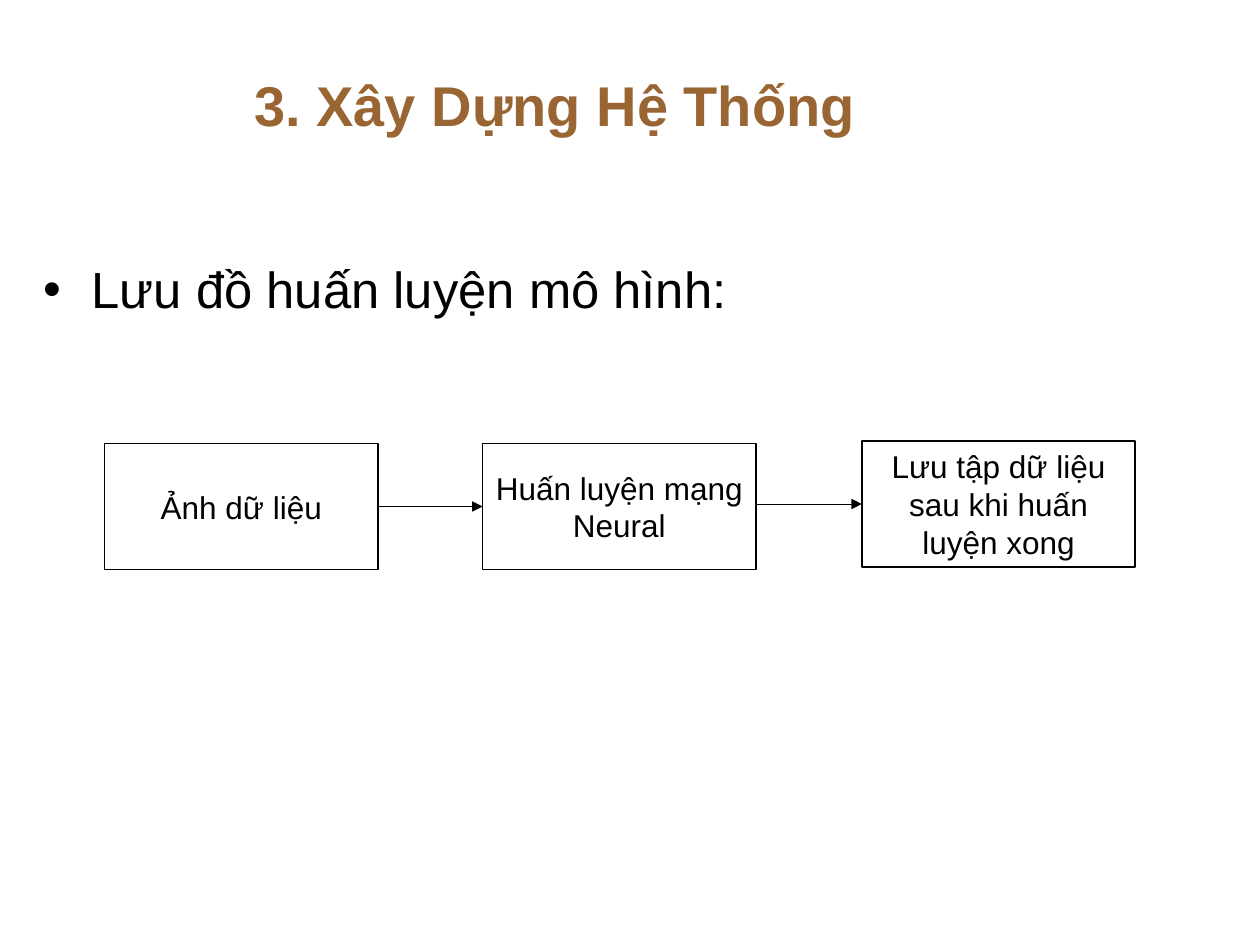
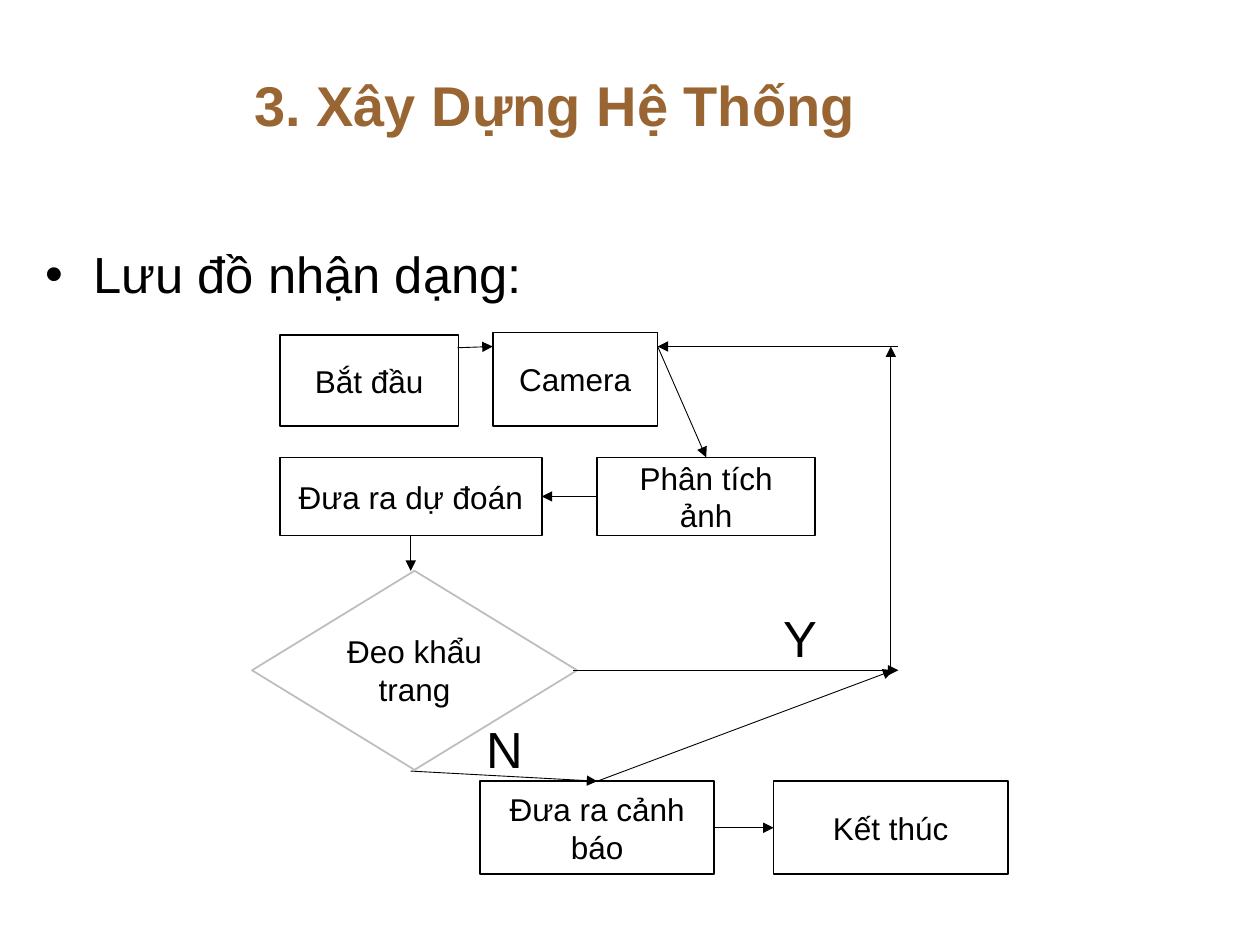
"""Build two flowchart slides: training the model and recognising masks."""
from lxml.etree import SubElement
from pptx import Presentation
from pptx.dml.color import RGBColor
from pptx.enum.shapes import MSO_CONNECTOR, MSO_SHAPE
from pptx.enum.text import MSO_ANCHOR as ANCHOR, PP_ALIGN as ALIGN
from pptx.oxml.ns import qn
from pptx.util import Inches, Pt

COLORS = {"title": "996633", "ink": "000000", "paper": "FFFFFF", "diamond": "BDBDBD"}
FONT = "Arial"
TITLE = "3. Xây Dựng Hệ Thống"
TOP, LEFT, BOTTOM, RIGHT = range(4)

presentation = Presentation()
presentation.slide_width, presentation.slide_height = Inches(10), Inches(7.5)
COLUMN = presentation.slide_width / 100
ROW = presentation.slide_height / 75

STEP_WIDTH, STEP_HEIGHT = 21.7, 10
LOOP_ROW, YES_ROW = 27.5, 53.2

SLIDES = [
    {
        "heading": ("Lưu đồ huấn luyện mô hình:", 2.5, 20, 61.7, 39.2),
        "boxes": [
            ("Ảnh dữ liệu", 8.3, 35.2, STEP_WIDTH, STEP_HEIGHT),
            ("Huấn luyện mạng Neural", 38.3, 35.2, STEP_WIDTH, STEP_HEIGHT),
            ("Lưu tập dữ liệu sau khi huấn luyện xong", 68.4, 35, STEP_WIDTH, STEP_HEIGHT),
        ],
        "decisions": [],
        "arrows": [
            (("Ảnh dữ liệu", RIGHT), ("Huấn luyện mạng Neural", LEFT)),
            ((60, 40), ("Lưu tập dữ liệu sau khi huấn luyện xong", LEFT)),
        ],
        "labels": [],
    },
    {
        "heading": ("Lưu đồ nhận dạng:", 2.6, 18.8, 40.8, 39.2),
        "boxes": [
            ("Bắt đầu", 22.2, 26.6, 14.2, 7.2),
            ("Camera", 39.1, 26.4, 13.1, 7.4),
            ("Phân tích ảnh", 47.4, 36.3, 17.3, 6.2),
            ("Đưa ra dự đoán", 22.2, 36.3, 20.8, 6.2),
            ("Đưa ra cảnh báo", 38.1, 62, 18.6, 7.4),
            ("Kết thúc", 61.4, 62, 18.6, 7.4),
        ],
        "decisions": [("Đeo khẩu trang", 20, 45.3, 25.8, 15.8)],
        "arrows": [
            ((36.3, 27.6), (39.1, LOOP_ROW)),
            ((52.2, LOOP_ROW), ("Phân tích ảnh", TOP)),
            (("Phân tích ảnh", LEFT), ("Đưa ra dự đoán", RIGHT)),
            (("Đưa ra dự đoán", BOTTOM), (32.6, 45.3)),
            ((32.6, 61.2), ("Đưa ra cảnh báo", TOP)),
            (("Đưa ra cảnh báo", RIGHT), ("Kết thúc", LEFT)),
            ((45.5, YES_ROW), (71.3, YES_ROW)),
            ((70.7, 53.5), (70.7, LOOP_ROW)),
            ((71.3, LOOP_ROW), (52.2, LOOP_ROW)),
            (("Đưa ra cảnh báo", TOP), (70.9, YES_ROW)),
        ],
        "labels": [("Y", 61.2, 47.7, 4.2, 4.4), ("N", 37.6, 56.5, 4.2, 4.4)],
    },
]


def grid(column, row, width, height):
    return [round(length) for length in (column * COLUMN, row * ROW, width * COLUMN, height * ROW)]


def write(shape, text, size, color="ink", anchor=ANCHOR.TOP, align=ALIGN.LEFT):
    frame = shape.text_frame
    frame.word_wrap = True
    frame.vertical_anchor = anchor
    paragraph = frame.paragraphs[0]
    paragraph.text = text
    paragraph.alignment = align
    paragraph.font.name = FONT
    paragraph.font.size = Pt(size)
    paragraph.font.color.rgb = RGBColor.from_string(COLORS[color])
    return paragraph


for content in SLIDES:
    slide = presentation.slides.add_slide(presentation.slide_layouts[6])
    shapes = slide.shapes

    title = shapes.add_textbox(*grid(19.2, 3.1, 77.5, 10.3))
    write(title, TITLE, 32, "title", ANCHOR.MIDDLE).font.bold = True

    text, *place = content["heading"]
    paragraph = write(shapes.add_textbox(*grid(*place)), text, 29)
    paragraph.space_before = Pt(6)
    properties = paragraph._p.get_or_add_pPr()
    properties.set("marL", str(Inches(0.38)))
    properties.set("indent", str(Inches(-0.38)))
    SubElement(properties, qn("a:buFont"), typeface=FONT)
    SubElement(properties, qn("a:buChar"), char="•")

    steps = {}
    for kind, outline, entries in (
        (MSO_SHAPE.RECTANGLE, "ink", content["boxes"]),
        (MSO_SHAPE.DIAMOND, "diamond", content["decisions"]),
    ):
        for text, *place in entries:
            step = steps[text] = shapes.add_shape(kind, *grid(*place))
            step.shadow.inherit = False
            step.fill.solid()
            step.fill.fore_color.rgb = RGBColor.from_string(COLORS["paper"])
            step.line.color.rgb = RGBColor.from_string(COLORS[outline])
            step.line.width = Pt(1)
            write(step, text, 18, anchor=ANCHOR.MIDDLE, align=ALIGN.CENTER)

    for start, end in content["arrows"]:
        arrow = shapes.add_connector(MSO_CONNECTOR.STRAIGHT, 0, 0, 0, 0)
        if start[0] in steps:
            arrow.begin_connect(steps[start[0]], start[1])
        else:
            arrow.begin_x, arrow.begin_y = grid(*start, 0, 0)[:2]
        if end[0] in steps:
            arrow.end_connect(steps[end[0]], end[1])
        else:
            arrow.end_x, arrow.end_y = grid(*end, 0, 0)[:2]
        arrow.line.color.rgb = RGBColor.from_string(COLORS["ink"])
        arrow.line.width = Pt(0.5)
        outline = arrow.element.spPr.find(qn("a:ln"))
        SubElement(outline, qn("a:tailEnd"), type="triangle")
        SubElement(arrow.element.spPr, qn("a:effectLst"))

    for text, *place in content["labels"]:
        write(shapes.add_textbox(*grid(*place)), text, 29).space_before = Pt(6)

presentation.save("out.pptx")
